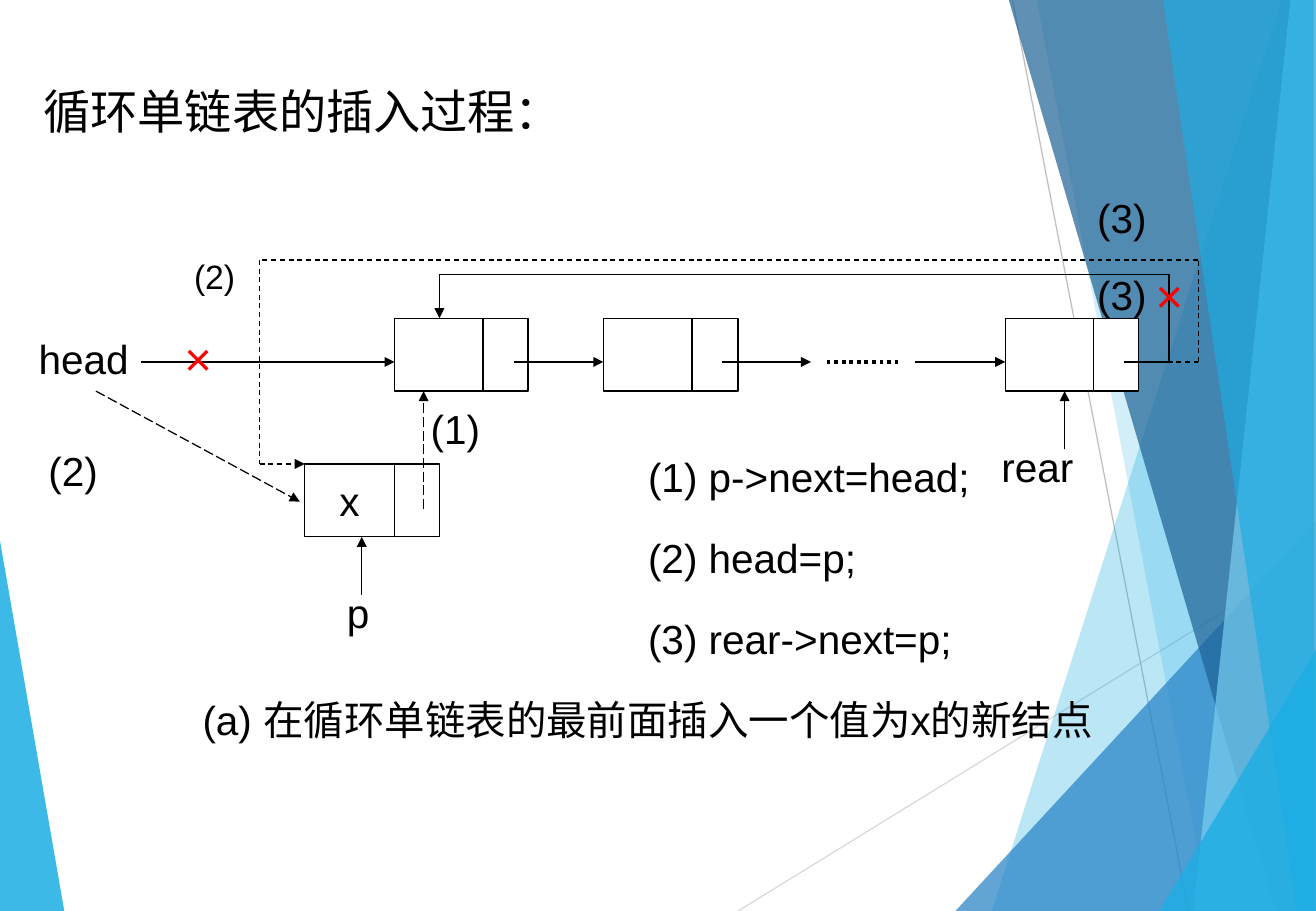
from lxml import etree
from pptx import Presentation
from pptx.dml.color import RGBColor
from pptx.enum import dml, shapes, text
from pptx.oxml import ns
from pptx.util import Inches, Pt

BLACK, WHITE, RED = "000000", "FFFFFF", "FF0000"
SKY, BLUE, NAVY, PALE = "1CADE4", "2683C6", "1D6295", "77CEEF"
DASH = dml.MSO_LINE

# colour, opacity in percent, corners
LEFT_FACET = (SKY, 85, [(0, 4.45), (0.53, 7.5), (0, 7.5)])
RIGHT_FACETS = [
    (SKY, 30, [(10.56, 0), (8.17, 7.5), (10.84, 7.5), (10.84, 0)]),
    (SKY, 20, [(8.54, 0), (9.96, 7.5), (10.84, 7.5), (10.84, 0)]),
    (BLUE, 72, [(7.87, 7.5), (10.84, 4.29), (10.84, 7.5)]),
    (NAVY, 70, [(8.31, 0), (10.51, 7.5), (10.84, 7.5), (10.84, 0)]),
    (PALE, 70, [(10.63, 0), (9.83, 7.5), (10.84, 7.5), (10.84, 0)]),
    (SKY, 65, [(9.58, 0), (10.68, 7.5), (10.83, 7.5), (10.82, 0)]),
    (SKY, 80, [(9.55, 7.5), (10.84, 5.35), (10.84, 7.5)]),
]
BACKGROUND_LINES = [
    ([(6.08, 7.5), (10.84, 4.57)], "D9D9D9"),
    ([(8.34, 0), (9.79, 7.5)], "BFBFBF"),
]

# List nodes: left, top, data width, pointer width, data
NODE_HEIGHT = 0.6
NODES = [
    (3.25, 2.62, 0.73, 0.37, ""),
    (4.97, 2.62, 0.73, 0.38, ""),
    (8.28, 2.62, 0.73, 0.37, ""),
    (2.51, 3.82, 0.74, 0.37, "x"),
]

# Corner points, dash; each ends in an arrowhead
LINKS = [
    ([(1.16, 2.98), (3.25, 2.98)], None),
    ([(4.23, 2.98), (4.97, 2.98)], None),
    ([(5.95, 2.98), (6.68, 2.98)], None),
    ([(7.54, 2.98), (8.28, 2.98)], None),
    ([(2.98, 4.9), (2.98, 4.42)], None),
    ([(8.77, 3.7), (8.77, 3.22)], None),
    ([(0.79, 3.22), (2.47, 4.13)], DASH.LONG_DASH),
    ([(3.49, 4.19), (3.49, 3.22)], DASH.LONG_DASH),
    ([(9.26, 2.98), (9.63, 2.98), (9.63, 2.26), (3.62, 2.26), (3.62, 2.62)], None),
    ([(9.26, 2.98), (9.87, 2.98), (9.87, 2.14), (2.14, 2.14), (2.14, 3.82),
      (2.51, 3.82)], DASH.DASH),
]
ELLIPSIS = [(6.81, 2.98), (7.42, 2.98)]

# left, top, width, text, size, colour
LABELS = [
    (0.26, 0.63, 10.02, "循环单链表的插入过程：", 28, BLACK),
    (0.22, 2.7, 1.02, "head", 24, BLACK),
    (2.76, 4.79, 0.61, "p", 24, BLACK),
    (8.15, 3.59, 1, "rear", 24, BLACK),
    (0.3, 3.62, 0.86, "(2)", 24, BLACK),
    (1.5, 2.06, 0.8, "(2)", 20, BLACK),
    (1.42, 2.66, 0.5, "×", 28, RED),
    (3.45, 3.28, 0.7, "(1)", 24, BLACK),
    (8.94, 1.54, 0.7, "(3)", 24, BLACK),
    (8.94, 2.17, 0.7, "(3)", 24, BLACK),
    (9.42, 2.14, 0.5, "×", 28, RED),
]
STEPS = ["(1) p->next=head;", "(2) head=p;", "(3) rear->next=p;"]
STEP_LEFT, STEP_TOP, STEP_PITCH = 5.24, 3.67, 0.67
CAPTION = (1.17, 5.67, 8.33, "(a) 在循环单链表的最前面插入一个值为x的新结点", 24, BLACK)

presentation = Presentation()
presentation.slide_width, presentation.slide_height = Inches(10.84), Inches(7.5)
slide = presentation.slides.add_slide(presentation.slide_layouts[6])


def rgb(colour):
    return RGBColor.from_string(colour)


def style_run(run, size, colour):
    run.font.size, run.font.name = Pt(size), "Arial"
    run.font.color.rgb = rgb(colour)


def add_facet(colour, opacity, corners):
    """Draw one translucent polygon of the backdrop."""
    points = [(Inches(x), Inches(y)) for x, y in corners]
    builder = slide.shapes.build_freeform(*points[0])
    builder.add_line_segments(points[1:], close=True)
    shape = builder.convert_to_shape()
    shape.shadow.inherit = False
    shape.fill.solid()
    shape.fill.fore_color.rgb = rgb(colour)
    shape.line.fill.background()
    fill_colour = shape._element.spPr.find(".//" + ns.qn("a:srgbClr"))
    etree.SubElement(fill_colour, ns.qn("a:alpha"), val=str(opacity * 1000))


def add_line(points, colour=BLACK, width=0.75, dash=None, arrow=False):
    """Join the points with straight connectors, the last one with an arrowhead."""
    for start, end in zip(points, points[1:]):
        line = slide.shapes.add_connector(
            shapes.MSO_CONNECTOR.STRAIGHT, *(Inches(value) for value in start + end))
        line.line.color.rgb = rgb(colour)
        line.line.width = Pt(width)
        if dash:
            line.line.dash_style = dash
        etree.SubElement(line._element.spPr, ns.qn("a:effectLst"))
    if arrow:
        outline = line.line._get_or_add_ln()
        etree.SubElement(outline, ns.qn("a:tailEnd"), type="triangle")


def add_cell(left, top, width, data=""):
    cell = slide.shapes.add_shape(
        shapes.MSO_SHAPE.RECTANGLE,
        *(Inches(value) for value in (left, top, width, NODE_HEIGHT)))
    cell.shadow.inherit = False
    cell.fill.solid()
    cell.fill.fore_color.rgb = rgb(WHITE)
    cell.line.color.rgb = rgb(BLACK)
    cell.line.width = Pt(0.75)
    if data:
        cell.text_frame.text = data
        cell.text_frame.vertical_anchor = text.MSO_ANCHOR.MIDDLE
        paragraph = cell.text_frame.paragraphs[0]
        paragraph.alignment = text.PP_ALIGN.CENTER
        style_run(paragraph.runs[0], 24, BLACK)


def add_label(left, top, width, words, size, colour):
    box = slide.shapes.add_textbox(
        *(Inches(value) for value in (left, top, width, 0.5)))
    box.text_frame.word_wrap = True
    box.text_frame.text = words
    paragraph = box.text_frame.paragraphs[0]
    style_run(paragraph.runs[0], size, colour)
    return paragraph


add_facet(*LEFT_FACET)
for points, colour in BACKGROUND_LINES:
    add_line(points, colour)
for facet in RIGHT_FACETS:
    add_facet(*facet)

for left, top, data_width, pointer_width, data in NODES:
    add_cell(left, top, data_width, data)
    add_cell(left + data_width, top, pointer_width)
for points, dash in LINKS:
    add_line(points, dash=dash, arrow=True)
add_line(ELLIPSIS, width=2.25, dash=DASH.ROUND_DOT)

for label in LABELS:
    add_label(*label)
for index, step in enumerate(STEPS):
    add_label(STEP_LEFT, STEP_TOP + index * STEP_PITCH, 4.2, step, 24, BLACK)
caption = add_label(*CAPTION)
caption.alignment = text.PP_ALIGN.CENTER

presentation.save("out.pptx")
